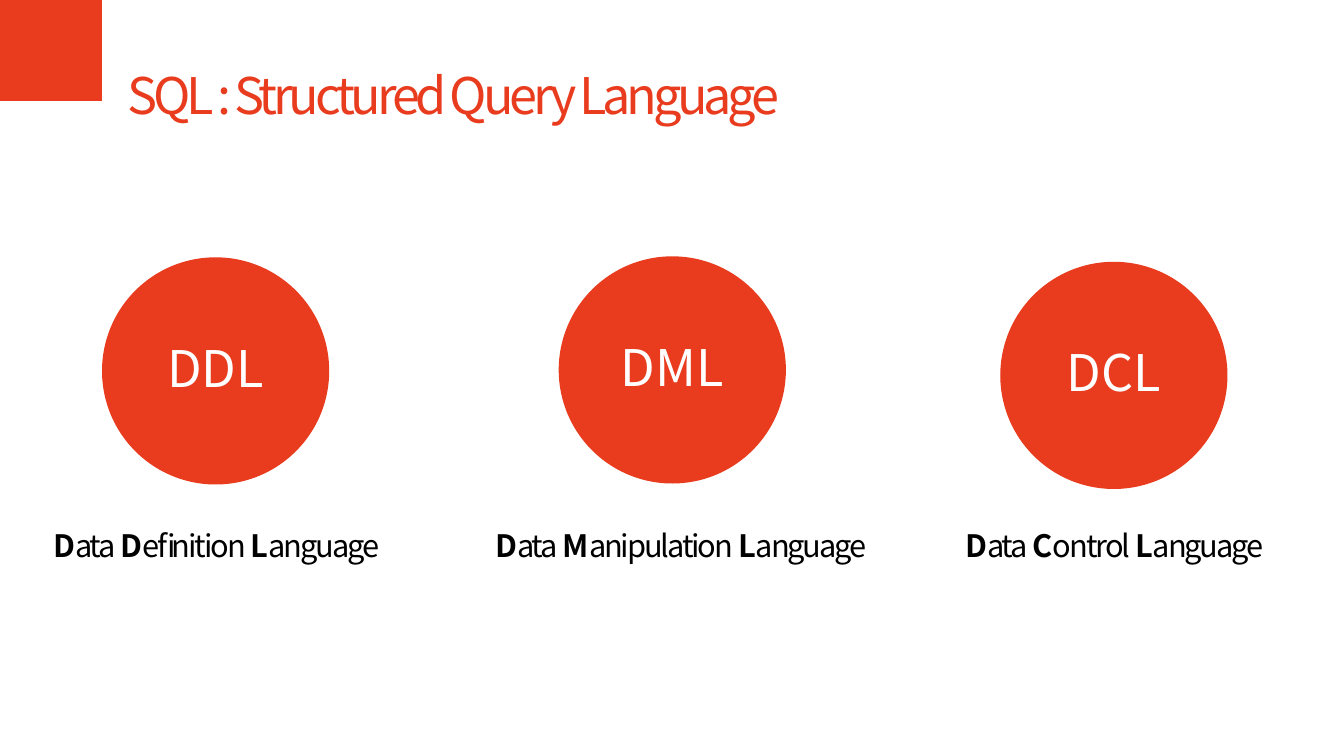
"""Build the slide that introduces the three parts of SQL."""
from dataclasses import dataclass

import pptx
import pptx.dml.color
import pptx.enum.shapes
import pptx.enum.text
import pptx.shapes.autoshape
import pptx.slide
import pptx.text.text
import pptx.util

Pt = pptx.util.Pt
Align = pptx.enum.text.PP_ALIGN
Anchor = pptx.enum.text.MSO_ANCHOR
Preset = pptx.enum.shapes.MSO_SHAPE


@dataclass(frozen=True)
class Theme:
    font: str = "Noto Sans CJK KR"
    accent: str = "E93C1F"
    on_accent: str = "FFFFFF"
    body: str = "000000"
    heading_size: float = 36
    caption_size: float = 22
    heading_spacing: float = -3
    caption_spacing: float = -1.5
    line_spacing: float = 0.9
    outline: float = 1


@dataclass(frozen=True)
class Box:
    left: float
    top: float
    width: float
    height: float

    def lengths(self) -> tuple[pptx.util.Length, ...]:
        return Pt(self.left), Pt(self.top), Pt(self.width), Pt(self.height)


@dataclass(frozen=True)
class Sublanguage:
    name: str
    circle_left: float
    circle_top: float
    caption_left: float
    caption_width: float

    @property
    def acronym(self) -> str:
        return "".join(word[0] for word in self.name.split())


THEME = Theme()
DIAMETER = 161.3
CAPTION_TOP = 375.8
CAPTION_HEIGHT = 33.8
SUBLANGUAGES = (
    Sublanguage("Data Definition Language", 73.4, 184.3, 9.4, 290.2),
    Sublanguage("Data Manipulation Language", 399.6, 183.6, 334.1, 304.6),
    Sublanguage("Data Control Language", 715, 187.5, 668.2, 255.6),
)


def format_paragraph(paragraph: pptx.text.text._Paragraph, size: float, color: str,
                     align: Align, spacing: float = 0) -> None:
    paragraph.alignment = align
    paragraph.line_spacing = THEME.line_spacing
    paragraph.font.name = THEME.font
    paragraph.font.size = Pt(size)
    paragraph.font.color.rgb = pptx.dml.color.RGBColor.from_string(color)
    if spacing:
        defaults = paragraph._p.get_or_add_pPr().get_or_add_defRPr()
        defaults.set("spc", str(round(spacing * 100)))


def add_accent_shape(slide: pptx.slide.Slide, preset: Preset,
                     box: Box) -> pptx.shapes.autoshape.Shape:
    accent = pptx.dml.color.RGBColor.from_string(THEME.accent)
    shape = slide.shapes.add_shape(preset, *box.lengths())
    shape.shadow.inherit = False
    shape.fill.solid()
    shape.fill.fore_color.rgb = accent
    shape.line.color.rgb = accent
    shape.line.width = Pt(THEME.outline)
    return shape


def set_title(slide: pptx.slide.Slide, wording: str, box: Box) -> None:
    title = slide.shapes.title
    title.left, title.top, title.width, title.height = box.lengths()
    frame = title.text_frame
    frame.text = wording
    frame.word_wrap = True
    frame.auto_size = pptx.enum.text.MSO_AUTO_SIZE.NONE
    frame.vertical_anchor = Anchor.TOP
    format_paragraph(frame.paragraphs[0], THEME.heading_size, THEME.accent,
                     Align.LEFT, THEME.heading_spacing)


def add_circle(slide: pptx.slide.Slide, item: Sublanguage) -> None:
    box = Box(item.circle_left, item.circle_top, DIAMETER, DIAMETER)
    frame = add_accent_shape(slide, Preset.OVAL, box).text_frame
    frame.text = item.acronym
    frame.vertical_anchor = Anchor.MIDDLE
    format_paragraph(frame.paragraphs[0], THEME.heading_size, THEME.on_accent, Align.CENTER)


def add_caption(slide: pptx.slide.Slide, item: Sublanguage) -> None:
    box = Box(item.caption_left, CAPTION_TOP, item.caption_width, CAPTION_HEIGHT)
    frame = slide.shapes.add_textbox(*box.lengths()).text_frame
    frame.word_wrap = True
    paragraph = frame.paragraphs[0]
    format_paragraph(paragraph, THEME.caption_size, THEME.body,
                     Align.CENTER, THEME.caption_spacing)
    words = item.name.split()
    for position, word in enumerate(words, start=1):
        initial = paragraph.add_run()
        initial.text = word[0]
        initial.font.bold = True
        rest = paragraph.add_run()
        rest.text = word[1:] + (" " if position < len(words) else "")


def main() -> None:
    presentation = pptx.Presentation()
    presentation.slide_width = Pt(960)
    presentation.slide_height = Pt(540)
    slide = presentation.slides.add_slide(presentation.slide_layouts[5])
    add_accent_shape(slide, Preset.RECTANGLE, Box(0, 0, 72.7, 72))
    set_title(slide, "SQL : Structured Query Language", Box(84.2, 46.8, 549.4, 51.1))
    for item in SUBLANGUAGES:
        add_circle(slide, item)
        add_caption(slide, item)
    presentation.save("out.pptx")


if __name__ == "__main__":
    main()
